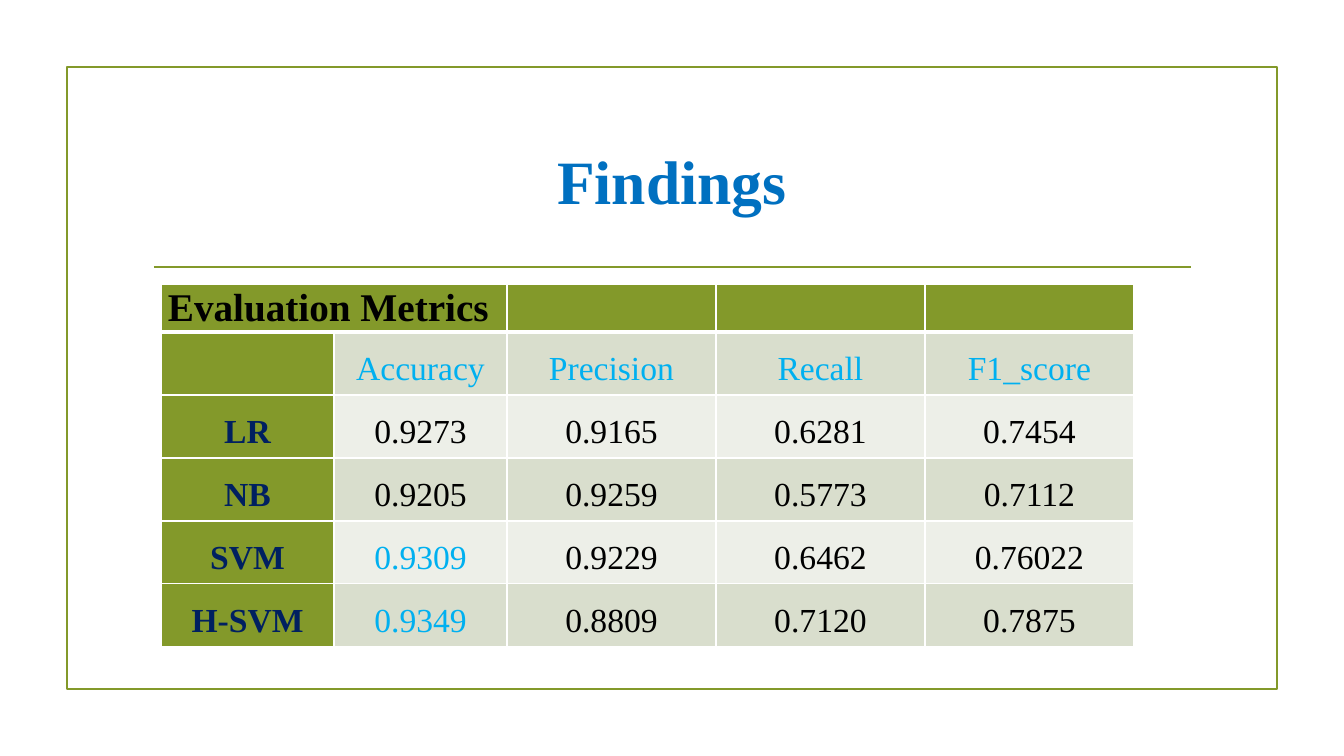
from lxml.etree import SubElement
from pptx import Presentation
from pptx.dml.color import RGBColor
from pptx.enum.shapes import MSO_CONNECTOR, MSO_SHAPE
from pptx.enum.text import MSO_ANCHOR, PP_ALIGN
from pptx.oxml import parse_xml
from pptx.oxml.ns import nsdecls, qn
from pptx.util import Emu, Pt

OLIVE = RGBColor(0x83, 0x99, 0x2A)
BAND_DARK = RGBColor(0xD9, 0xDE, 0xCD)
BAND_LIGHT = RGBColor(0xED, 0xEF, 0xE8)
WHITE = RGBColor(0xFF, 0xFF, 0xFF)
BLACK = RGBColor(0x00, 0x00, 0x00)
BLUE = RGBColor(0x00, 0x70, 0xC0)
SKY = RGBColor(0x00, 0xB0, 0xF0)
NAVY = RGBColor(0x00, 0x20, 0x60)

HEADING = "Evaluation Metrics"
METRICS = ["", "Accuracy", "Precision", "Recall", "F1_score"]
SCORES = [
    ["LR", "0.9273", "0.9165", "0.6281", "0.7454"],
    ["NB", "0.9205", "0.9259", "0.5773", "0.7112"],
    ["SVM", "0.9309", "0.9229", "0.6462", "0.76022"],
    ["H-SVM", "0.9349", "0.8809", "0.7120", "0.7875"],
]
BEST_ACCURACY = {"0.9309", "0.9349"}
COLUMN_WIDTHS = [173, 173, 209, 209, 209]
ROW_HEIGHTS = [48] + [63] * 5


def px(length):
    return Emu(round(length * 914400 / 100.8))


class SlideBuilder:
    font = "Times New Roman"
    rule_width = Pt(1.25)

    def __init__(self, slide):
        self.slide = slide
        self.shapes = slide.shapes

    def styled_text(self, frame, text, size, color, bold=False, align=PP_ALIGN.CENTER):
        para = frame.paragraphs[0]
        para.text = text
        para.alignment = align
        for span in para.runs:
            span.font.name = self.font
            span.font.size = Pt(size)
            span.font.bold = bold
            span.font.color.rgb = color
        return para

    def title(self, text, left, top, width, height):
        box = self.shapes.title
        box.left, box.top, box.width, box.height = map(px, (left, top, width, height))
        box.text_frame.vertical_anchor = MSO_ANCHOR.MIDDLE
        self.styled_text(box.text_frame, text, 44, BLUE, bold=True)

    def frame(self, left, top, width, height):
        box = self.shapes.add_shape(MSO_SHAPE.RECTANGLE, *map(px, (left, top, width, height)))
        box.shadow.inherit = False
        box.fill.background()
        box.line.color.rgb = OLIVE
        box.line.width = self.rule_width

    def rule(self, left, right, y):
        line = self.shapes.add_connector(MSO_CONNECTOR.STRAIGHT, px(left), px(y), px(right), px(y))
        line.line.color.rgb = OLIVE
        line.line.width = self.rule_width
        SubElement(line.element.spPr, qn("a:effectLst"))

    def table(self, left, top, widths, heights):
        area = map(px, (left, top, sum(widths), sum(heights)))
        table = self.shapes.add_table(len(heights), len(widths), *area).table
        for column, width in zip(table.columns, widths):
            column.width = px(width)
        for row, height in zip(table.rows, heights):
            row.height = px(height)
        return table

    def cell(self, cell, fill, top_border=1, bottom_border=1):
        cell.fill.solid()
        cell.fill.fore_color.rgb = fill
        cell.margin_left = cell.margin_right = px(7)
        cell.margin_top = cell.margin_bottom = 0
        borders = {"lnL": 1, "lnR": 1, "lnT": top_border, "lnB": bottom_border}
        properties = cell._tc.get_or_add_tcPr()
        for index, (side, points) in enumerate(borders.items()):
            properties.insert(index, parse_xml(
                f'<a:{side} {nsdecls("a")} w="{Pt(points)}"><a:solidFill>'
                f'<a:srgbClr val="{WHITE}"/></a:solidFill></a:{side}>'))

    def cell_text(self, cell, text, size, color, bold, align, spacing):
        para = self.styled_text(cell.text_frame, text, size, color, bold, align)
        para.line_spacing = spacing
        para.space_after = Pt(8)


def main():
    deck = Presentation()
    deck.slide_width, deck.slide_height = px(1344), px(756)
    page = SlideBuilder(deck.slides.add_slide(deck.slide_layouts[5]))

    # Frame, title and divider
    page.frame(67, 67, 1210, 622)
    page.rule(154, 1191, 267)
    page.title("Findings", 143, 108, 1058, 144)

    # Table heading across the first two columns
    table = page.table(161, 284, COLUMN_WIDTHS, ROW_HEIGHTS)
    for cell in table.rows[0].cells:
        page.cell(cell, OLIVE, bottom_border=3)
    table.cell(0, 0).merge(table.cell(0, 1))
    page.cell_text(table.cell(0, 0), HEADING, 28, BLACK, True, PP_ALIGN.LEFT, 1.07)

    # Metric names and scores, in alternating bands
    for row, values in enumerate([METRICS] + SCORES, start=1):
        band = BAND_DARK if row % 2 else BAND_LIGHT
        for column, value in enumerate(values):
            cell = table.cell(row, column)
            is_model = column == 0
            page.cell(cell, OLIVE if is_model else band, top_border=3 if row == 1 else 1)
            if not value:
                continue
            if is_model:
                color = NAVY
            else:
                color = SKY if row == 1 or value in BEST_ACCURACY else BLACK
            page.cell_text(cell, value, 24, color, is_model, PP_ALIGN.CENTER, 1.5)

    deck.save("out.pptx")


if __name__ == "__main__":
    main()
